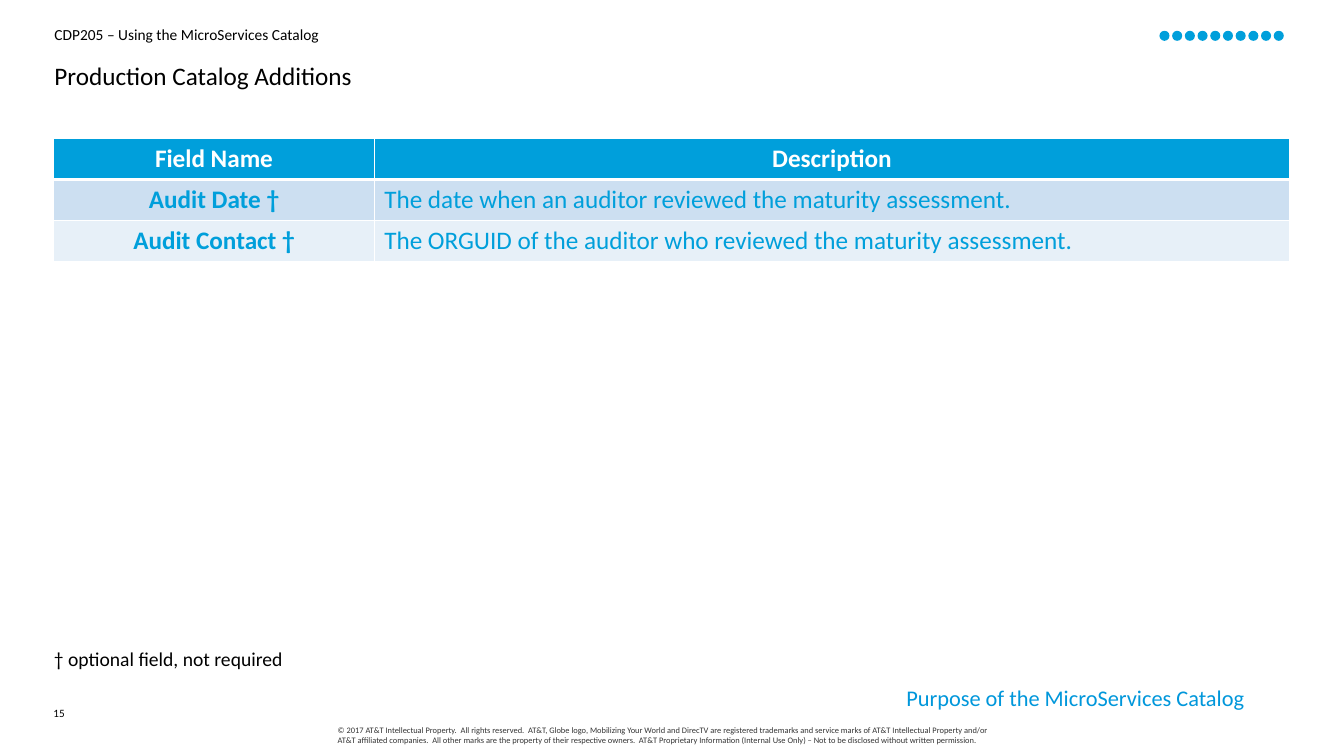
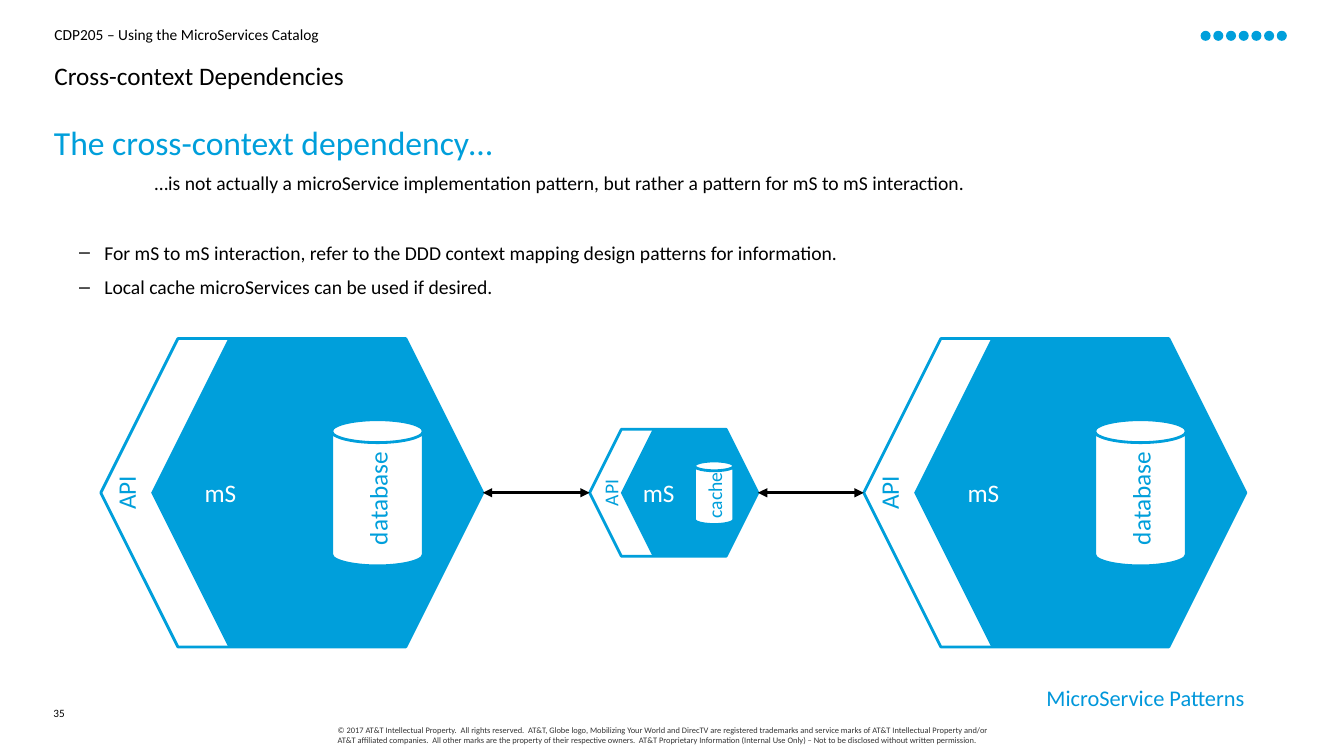
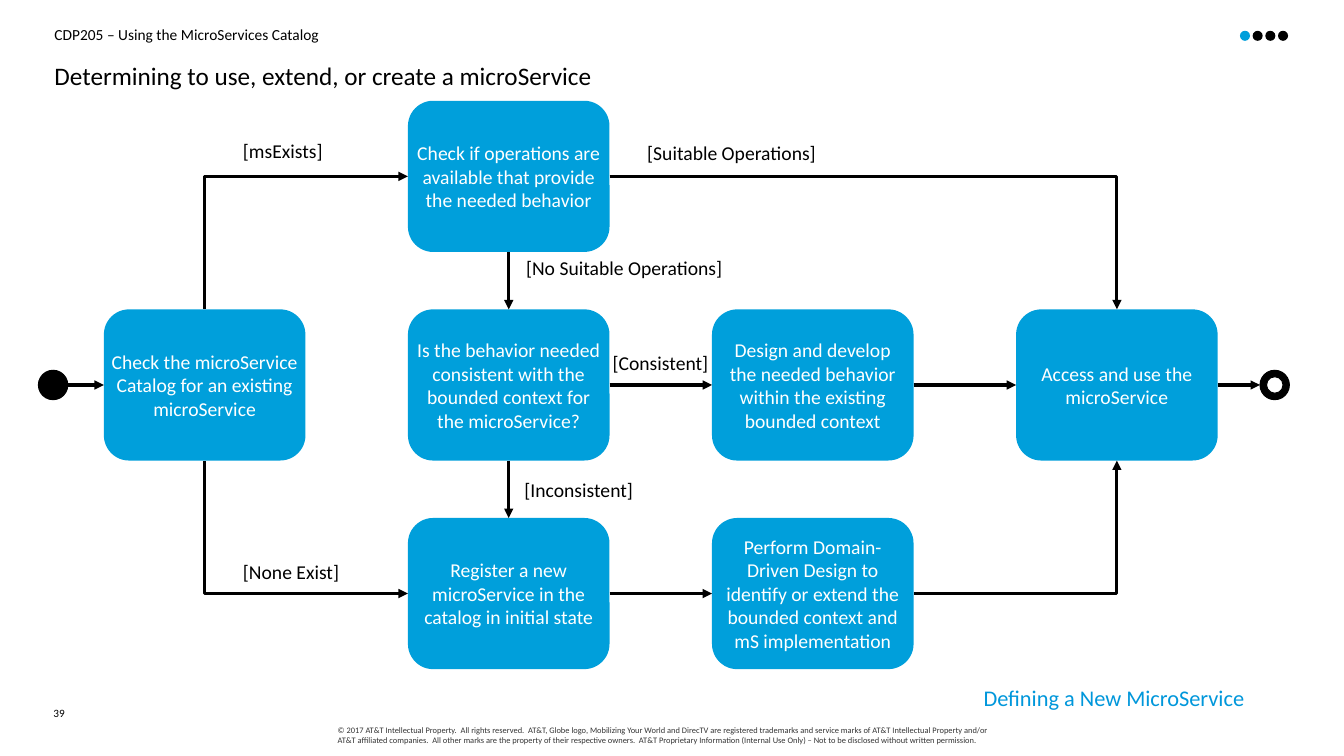
from dataclasses import dataclass
from typing import Any, NamedTuple, Optional

import pptx
import pptx.dml.color
import pptx.enum.shapes
import pptx.enum.text
import pptx.oxml
import pptx.oxml.ns
import pptx.presentation
import pptx.slide
import pptx.util

Pt = pptx.util.Pt
Slide = pptx.slide.Slide
Kind = pptx.enum.shapes.MSO_SHAPE
Link = pptx.enum.shapes.MSO_CONNECTOR
Align = pptx.enum.text.PP_ALIGN
Anchor = pptx.enum.text.MSO_ANCHOR
qn = pptx.oxml.ns.qn

FONT = "Calibri"
COLORS = {
    "black": "000000",
    "white": "FFFFFF",
    "blue": "009FDB",
    "section": "0097DB",
    "legal": "343434",
    "band_dark": "CCDFF1",
    "band_light": "E7F0F8",
}
TITLE_ONLY, TITLE_AND_BODY = 5, 1
TOP, LEFT, BOTTOM, RIGHT = range(4)
COURSE = "CDP205 – Using the MicroServices Catalog"
COPYRIGHT = (
    "© 2017 AT&T Intellectual Property.  All rights reserved.  AT&T, Globe logo, "
    "Mobilizing Your World and DirecTV are registered trademarks and service marks of "
    "AT&T Intellectual Property and/or AT&T affiliated companies.  All other marks are "
    "the property of their respective owners.  AT&T Proprietary Information (Internal "
    "Use Only) – Not to be disclosed without written permission."
)


class Box(NamedTuple):
    left: float
    top: float
    width: float
    height: float


HEADER_BOX = Box(38.9, 18, 882.7, 14.4)
TITLE_BOX = Box(38.9, 41, 882.7, 26.6)
COPYRIGHT_BOX = Box(241.2, 517.7, 478, 17.3)
NUMBER_BOX = Box(38.2, 504, 23, 18)
SECTION_BOX = Box(596, 484.8, 300, 26.6)


@dataclass
class Page:
    title: str
    section: str
    number: int
    dots_left: float
    dots: list[str]


@dataclass
class Style:
    size: float
    color: str = "black"
    bold: bool = False
    align: Any = Align.LEFT


@dataclass
class BodyLine:
    text: str
    style: Style
    level: int = 0
    margin: float = 0
    indent: float = 0
    dash: bool = False
    after: float = 8
    spacing: float = 1.0


@dataclass
class Service:
    """A hexagonal service; store_left is measured from its left tip."""
    left: float
    width: float
    height: float
    api_shift: float
    api_middle: float
    store_left: float
    store_width: float
    store_height: float
    store_label: str
    label_size: float


class Step(NamedTuple):
    column: int
    row: int
    text: str


class Flow(NamedTuple):
    start: str
    start_side: int
    end: str
    end_side: int


class Condition(NamedTuple):
    text: str
    left: float
    top: float
    width: float


def rgb(name: str) -> pptx.dml.color.RGBColor:
    return pptx.dml.color.RGBColor.from_string(COLORS[name])


def points(box: Box) -> list[int]:
    return [Pt(length) for length in box]


def place(shape: Any, box: Box) -> None:
    shape.left, shape.top, shape.width, shape.height = points(box)


def clear_insets(frame: Any, anchor: Any = Anchor.TOP) -> None:
    frame.margin_left = frame.margin_right = frame.margin_top = frame.margin_bottom = 0
    frame.vertical_anchor = anchor
    frame.auto_size = pptx.enum.text.MSO_AUTO_SIZE.NONE
    frame.word_wrap = True


def write(paragraph: Any, text: str, style: Style) -> None:
    paragraph.alignment = style.align
    run = paragraph.add_run()
    run.text = text
    run.font.name = FONT
    run.font.size = Pt(style.size)
    run.font.bold = style.bold
    run.font.color.rgb = rgb(style.color)


def add_label(slide: Slide, box: Box, text: str, style: Style) -> Any:
    label = slide.shapes.add_textbox(*points(box))
    clear_insets(label.text_frame)
    write(label.text_frame.paragraphs[0], text, style)
    return label


def add_block(slide: Slide, kind: Any, box: Box, fill: str,
              outline: Optional[str] = None, weight: float = 2) -> Any:
    block = slide.shapes.add_shape(kind, *points(box))
    block.shadow.inherit = False
    block.fill.solid()
    block.fill.fore_color.rgb = rgb(fill)
    if outline:
        block.line.color.rgb = rgb(outline)
        block.line.width = Pt(weight)
    else:
        block.line.fill.background()
    return block


def write_block(block: Any, text: str, style: Style) -> None:
    clear_insets(block.text_frame, Anchor.MIDDLE)
    write(block.text_frame.paragraphs[0], text, style)


def add_arrow(slide: Slide, start: tuple[float, float] = (0, 0),
              end: tuple[float, float] = (0, 0), bent: bool = False,
              heads: tuple[str, ...] = ("tailEnd",)) -> Any:
    kind = Link.ELBOW if bent else Link.STRAIGHT
    arrow = slide.shapes.add_connector(kind, *[Pt(v) for v in (*start, *end)])
    arrow.line.color.rgb = rgb("black")
    arrow.line.width = Pt(2.25)
    properties = arrow.element.spPr
    for head in heads:
        pptx.oxml.ns  # namespace helpers
        tip = pptx.oxml.parse_xml(f'<a:{head} {pptx.oxml.ns.nsdecls("a")} type="triangle"/>')
        properties.find(qn("a:ln")).append(tip)
    if bent:
        properties.find(qn("a:prstGeom")).set("prst", "bentConnector2")
    properties.append(pptx.oxml.parse_xml(f'<a:effectLst {pptx.oxml.ns.nsdecls("a")}/>'))
    return arrow


def start_page(deck: pptx.presentation.Presentation, page: Page,
               layout: int = TITLE_ONLY) -> Slide:
    """Add a slide with everything that all slides share."""
    slide = deck.slides.add_slide(deck.slide_layouts[layout])
    title = slide.shapes.title
    place(title, TITLE_BOX)
    clear_insets(title.text_frame)
    heading = title.text_frame.paragraphs[0]
    heading.line_spacing = 1.1
    heading.space_after = Pt(10)
    write(heading, page.title, Style(18))

    add_label(slide, HEADER_BOX, COURSE, Style(11))
    add_label(slide, COPYRIGHT_BOX, COPYRIGHT, Style(6, "legal"))
    number = add_label(slide, NUMBER_BOX, str(page.number), Style(8))
    number.text_frame.paragraphs[0].line_spacing = Pt(10)
    section = add_label(slide, SECTION_BOX, page.section,
                        Style(16, "section", align=Align.RIGHT))
    section.text_frame.margin_right = Pt(7.2)
    section.text_frame.margin_top = Pt(3.6)
    for index, color in enumerate(page.dots):
        add_block(slide, Kind.OVAL, Box(page.dots_left + index * 9.07, 22, 7.2, 7.2), color)
    return slide


def set_borders(cell: Any, top: float, bottom: float) -> None:
    weights = {"lnL": 1, "lnR": 1, "lnT": top, "lnB": bottom}
    properties = cell._tc.get_or_add_tcPr()
    for index, (side, weight) in enumerate(weights.items()):
        properties.insert(index, pptx.oxml.parse_xml(
            f'<a:{side} {pptx.oxml.ns.nsdecls("a")} w="{Pt(weight)}"><a:solidFill>'
            f'<a:srgbClr val="{COLORS["white"]}"/></a:solidFill></a:{side}>'))


def build_additions(deck: pptx.presentation.Presentation) -> None:
    slide = start_page(deck, Page("Production Catalog Additions",
                                  "Purpose of the MicroServices Catalog",
                                  15, 828.2, ["blue"] * 10))
    fields = [
        ("Field Name", "Description"),
        ("Audit Date †", "The date when an auditor reviewed the maturity assessment."),
        ("Audit Contact †", "The ORGUID of the auditor who reviewed the maturity assessment."),
    ]
    fills = ["blue", "band_dark", "band_light"]
    table = slide.shapes.add_table(3, 2, *points(Box(38.5, 98.9, 882.7, 87.9))).table
    table.horz_banding = False
    for column, width in zip(table.columns, (228.8, 653.9)):
        column.width = Pt(width)
    for r, (texts, fill) in enumerate(zip(fields, fills)):
        table.rows[r].height = Pt(29.3)
        for c, text in enumerate(texts):
            cell = table.cell(r, c)
            cell.fill.solid()
            cell.fill.fore_color.rgb = rgb(fill)
            set_borders(cell, 3 if r == 1 else 1, 3 if r == 0 else 1)
            is_head = r == 0 or c == 0
            write(cell.text_frame.paragraphs[0], text,
                  Style(18, "white" if r == 0 else "blue", is_head,
                        Align.CENTER if is_head else Align.LEFT))
    add_label(slide, Box(38.5, 462.2, 180, 17.3), "† optional field, not required", Style(14))


def add_body(slide: Slide, box: Box, lines: list[BodyLine]) -> None:
    body = slide.placeholders[1]
    place(body, box)
    frame = body.text_frame
    clear_insets(frame)
    for index, line in enumerate(lines):
        paragraph = frame.add_paragraph() if index else frame.paragraphs[0]
        paragraph.level = line.level
        properties = paragraph._p.get_or_add_pPr()
        properties.set("marL", str(Pt(line.margin)))
        properties.set("indent", str(Pt(line.indent)))
        bullet = 'buChar {} char="–"' if line.dash else "buNone {}"
        properties.append(pptx.oxml.parse_xml(
            f'<a:{bullet.format(pptx.oxml.ns.nsdecls("a"))}/>'))
        paragraph.line_spacing = line.spacing
        paragraph.space_before = Pt(0)
        paragraph.space_after = Pt(line.after)
        write(paragraph, line.text, line.style)


def add_service(slide: Slide, service: Service, middle: float) -> None:
    top = middle - service.height / 2
    outer = Box(service.left, top, service.width, service.height)
    inner = Box(service.left + service.api_shift, top,
                service.width - service.api_shift, service.height)
    add_block(slide, Kind.HEXAGON, outer, "white", "blue")
    write_block(add_block(slide, Kind.HEXAGON, inner, "blue"), "mS", Style(18, "white"))

    label_style = Style(service.label_size, "blue", align=Align.CENTER)
    label_height = service.label_size * 1.22
    api = add_label(slide, Box(service.left + service.api_middle - 20,
                               middle - label_height / 2, 40, label_height),
                    "API", label_style)
    api.rotation = 270

    store = add_block(slide, Kind.CAN,
                      Box(service.left + service.store_left,
                          middle - service.store_height / 2,
                          service.store_width, service.store_height), "white", "blue")
    write_block(store, service.store_label, label_style)
    store.element.txBody.bodyPr.set("vert", "vert270")


def build_dependencies(deck: pptx.presentation.Presentation) -> None:
    slide = start_page(deck, Page("Cross-context Dependencies", "MicroService Patterns",
                                  35, 857.6, ["blue"] * 7), TITLE_AND_BODY)
    add_body(slide, Box(38.5, 90, 882.7, 378.7), [
        BodyLine("The cross-context dependency…", Style(24, "blue"), after=6, spacing=0.9),
        BodyLine("…is not actually a microService implementation pattern, but rather "
                 "a pattern for mS to mS interaction.", Style(14), 1, 72, after=33),
        BodyLine("For mS to mS interaction, refer to the DDD context mapping design "
                 "patterns for information.", Style(14), 2, 36, -18, True),
        BodyLine("Local cache microServices can be used if desired.",
                 Style(14), 2, 36, -18, True),
    ])
    middle = 352
    large = (272.9, 220.3, 36, 18, 164.9, 65.5, 104.4, "database", 18)
    services = [
        Service(72, *large),
        Service(421.2, 120.2, 90.7, 22.3, 15, 74.9, 28.1, 45.4, "cache", 14),
        Service(617, *large),
    ]
    for service in services:
        add_service(slide, service, middle)
    for before, after in zip(services, services[1:]):
        add_arrow(slide, (before.left + before.width, middle), (after.left, middle),
                  heads=("headEnd", "tailEnd"))


def build_decision(deck: pptx.presentation.Presentation) -> None:
    slide = start_page(deck, Page("Determining to use, extend, or create a microService",
                                  "Defining a New MicroService",
                                  39, 885.7, ["blue"] + ["black"] * 3))
    steps = {
        "check": Step(0, 1, "Check the microService Catalog for an existing microService"),
        "operations": Step(1, 0, "Check if operations are available that provide the "
                                 "needed behavior"),
        "consistent": Step(1, 1, "Is the behavior needed consistent with the bounded "
                                 "context for the microService?"),
        "register": Step(1, 2, "Register a new microService in the catalog in initial state"),
        "develop": Step(2, 1, "Design and develop the needed behavior within the existing "
                              "bounded context"),
        "design": Step(2, 2, "Perform Domain-Driven Design to identify or extend the "
                             "bounded context and mS implementation"),
        "use": Step(3, 1, "Access and use the microService"),
    }
    blocks = {}
    for key, step in steps.items():
        box = Box(74.2 + 217.2 * step.column, 72 + 149 * step.row, 144, 108)
        blocks[key] = add_block(slide, Kind.ROUNDED_RECTANGLE, box, "blue")
        write_block(blocks[key], step.text, Style(14, "white", align=Align.CENTER))

    flows = [
        Flow("check", TOP, "operations", LEFT),
        Flow("check", BOTTOM, "register", LEFT),
        Flow("operations", BOTTOM, "consistent", TOP),
        Flow("consistent", BOTTOM, "register", TOP),
        Flow("consistent", RIGHT, "develop", LEFT),
        Flow("develop", RIGHT, "use", LEFT),
        Flow("register", RIGHT, "design", LEFT),
        Flow("operations", RIGHT, "use", TOP),
        Flow("design", RIGHT, "use", BOTTOM),
    ]
    for flow in flows:
        ends = [(blocks[flow.start], flow.start_side), (blocks[flow.end], flow.end_side)]
        bent = flow.start_side % 2 != flow.end_side % 2
        # The elbow shape runs sideways first, so upright starts are drawn from the far end.
        backwards = bent and flow.start_side in (TOP, BOTTOM)
        if backwards:
            ends.reverse()
        arrow = add_arrow(slide, bent=bent, heads=("headEnd" if backwards else "tailEnd",))
        arrow.begin_connect(*ends[0])
        arrow.end_connect(*ends[1])

    middle = 275
    for left, size, fill in ((27.4, 21, "black"), (900, 21, "black"), (904.7, 11.8, "white")):
        add_block(slide, Kind.OVAL, Box(left, middle - size / 2, size, size),
                  fill, "black", 0.75)
    add_arrow(slide, (48.4, middle), (74.2, middle)).end_connect(blocks["check"], LEFT)
    add_arrow(slide, (869.8, middle), (900, middle)).begin_connect(blocks["use"], RIGHT)

    for condition in (
        Condition("[msExists]", 173.5, 98.9, 64),
        Condition("[None Exist]", 173.5, 399.6, 76),
        Condition("[No Suitable Operations]", 375.8, 183, 150),
        Condition("[Suitable Operations]", 462.3, 100.8, 130),
        Condition("[Consistent]", 437.6, 250.8, 72),
        Condition("[Inconsistent]", 374.6, 341.5, 84),
    ):
        add_label(slide, Box(condition.left, condition.top, condition.width, 17.3),
                  condition.text, Style(14))


def main() -> None:
    deck = pptx.Presentation()
    deck.slide_width, deck.slide_height = Pt(960), Pt(540)
    build_additions(deck)
    build_dependencies(deck)
    build_decision(deck)
    deck.save("out.pptx")


if __name__ == "__main__":
    main()
